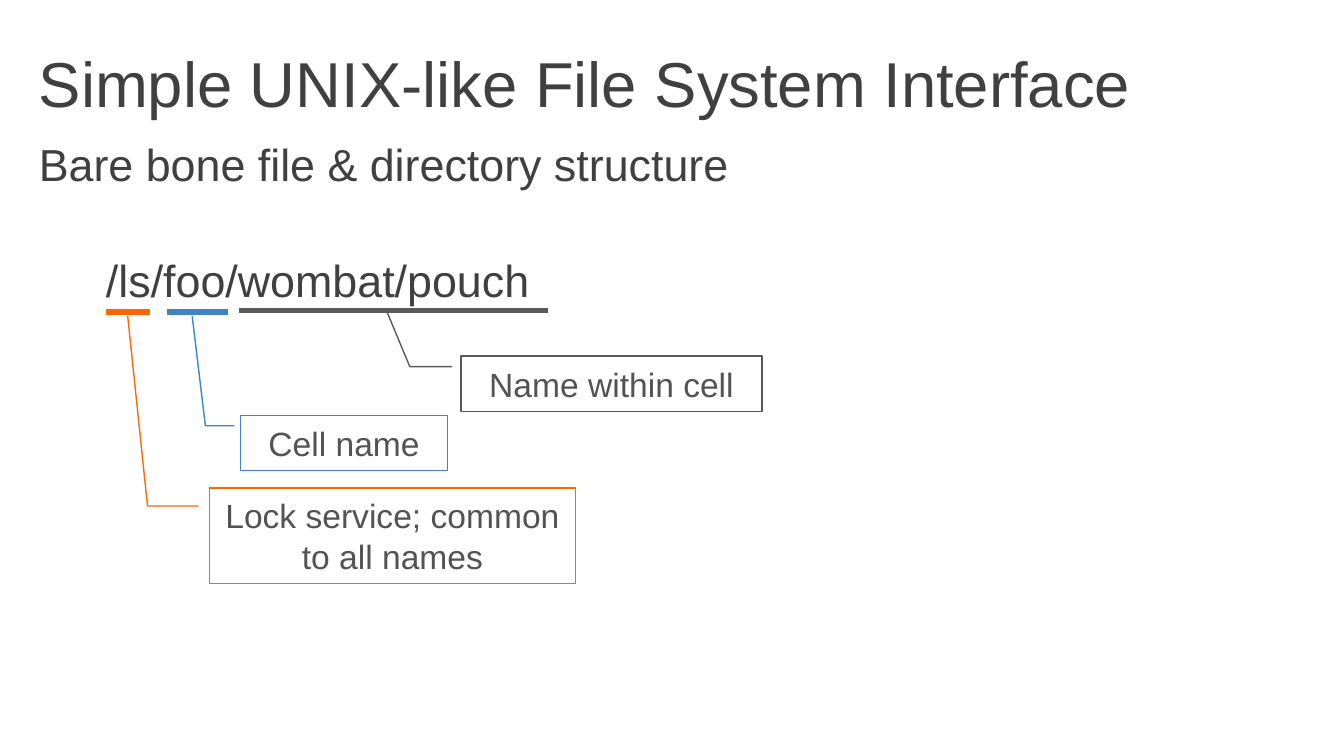
from pptx import Presentation
from pptx.dml.color import RGBColor
from pptx.enum.shapes import MSO_CONNECTOR, MSO_SHAPE
from pptx.enum.text import MSO_ANCHOR, PP_ALIGN
from pptx.oxml.ns import qn
from pptx.util import Inches, Pt
from lxml.etree import SubElement


class SlideBuilder:
    """Hold the style and the current slide, and add its elements."""

    FONT = "Arial"
    COLORS = {
        "text": "404040",
        "label": "525352",
        "service": "FF6600",
        "cell": "3D84C7",
        "name": "595959",
    }

    def __init__(self, prs):
        self.s = prs.slides.add_slide(prs.slide_layouts[6])

    def color(self, name):
        return RGBColor.from_string(self.COLORS[name])

    def format(self, p, size, color):
        for r in p.runs:
            r.font.name = self.FONT
            r.font.size = Pt(size)
            r.font.color.rgb = self.color(color)

    def text(self, box, paragraphs, size, anchor=MSO_ANCHOR.TOP):
        sp = self.s.shapes.add_textbox(*map(Inches, box))
        tf = sp.text_frame
        tf.word_wrap = True
        tf.vertical_anchor = anchor
        tf.text = "\n".join(text for text, _, _ in paragraphs)
        for p, (_, before, indent) in zip(tf.paragraphs, paragraphs):
            p.space_before = Pt(before)
            p._p.get_or_add_pPr().set("marL", str(Inches(indent)))
            self.format(p, size, "text")

    def underline(self, left, right, y, color):
        line = self.s.shapes.add_connector(
            MSO_CONNECTOR.STRAIGHT, Inches(left), Inches(y), Inches(right), Inches(y)
        )
        line.line.color.rgb = self.color(color)
        line.line.width = Pt(3)
        SubElement(line._element.spPr, qn("a:effectLst"))

    def callout(self, box, text, tip, color):
        sp = self.s.shapes.add_shape(MSO_SHAPE.LINE_CALLOUT_2, *map(Inches, box))
        left, top, width, height = box
        tip_x, tip_y = tip
        leader = (0.19, -0.03, 0.19, -0.17, (tip_y - top) / height, (tip_x - left) / width)
        for i, value in enumerate(leader):
            sp.adjustments[i] = value
        sp.shadow.inherit = False
        sp.fill.background()
        sp.line.color.rgb = self.color(color)
        sp.line.width = Pt(0.75)
        tf = sp.text_frame
        tf.word_wrap = True
        tf.vertical_anchor = MSO_ANCHOR.MIDDLE
        tf.text = text
        p = tf.paragraphs[0]
        p.alignment = PP_ALIGN.CENTER
        self.format(p, 18, "label")


def main():
    prs = Presentation()
    prs.slide_width = Inches(10)
    prs.slide_height = prs.slide_width * 9 // 16
    slide = SlideBuilder(prs)
    slide.text(
        (0.19, 0.14, 9.68, 0.94),
        [("Simple UNIX-like File System Interface", 0, 0)],
        34,
        MSO_ANCHOR.MIDDLE,
    )
    slide.text(
        (0.19, 0.97, 9.68, 1.86),
        [("Bare bone file & directory structure", 3.5, 0), ("/ls/foo/wombat/pouch", 33, 0.5)],
        24,
    )
    parts = [
        ("service", (0.79, 1.12, 2.32), (1.56, 3.63, 2.72, 0.71),
         "Lock service; common to all names", (0.95, 2.35)),
        ("cell", (1.24, 1.7, 2.32), (1.79, 3.09, 1.54, 0.41),
         "Cell name", (1.43, 2.35)),
        ("name", (1.78, 4.08, 2.31), (3.43, 2.65, 2.24, 0.41),
         "Name within cell", (2.88, 2.32)),
    ]
    for color, span, box, label, tip in parts:
        slide.underline(*span, color)
        slide.callout(box, label, tip, color)
    prs.save("out.pptx")


if __name__ == "__main__":
    main()
